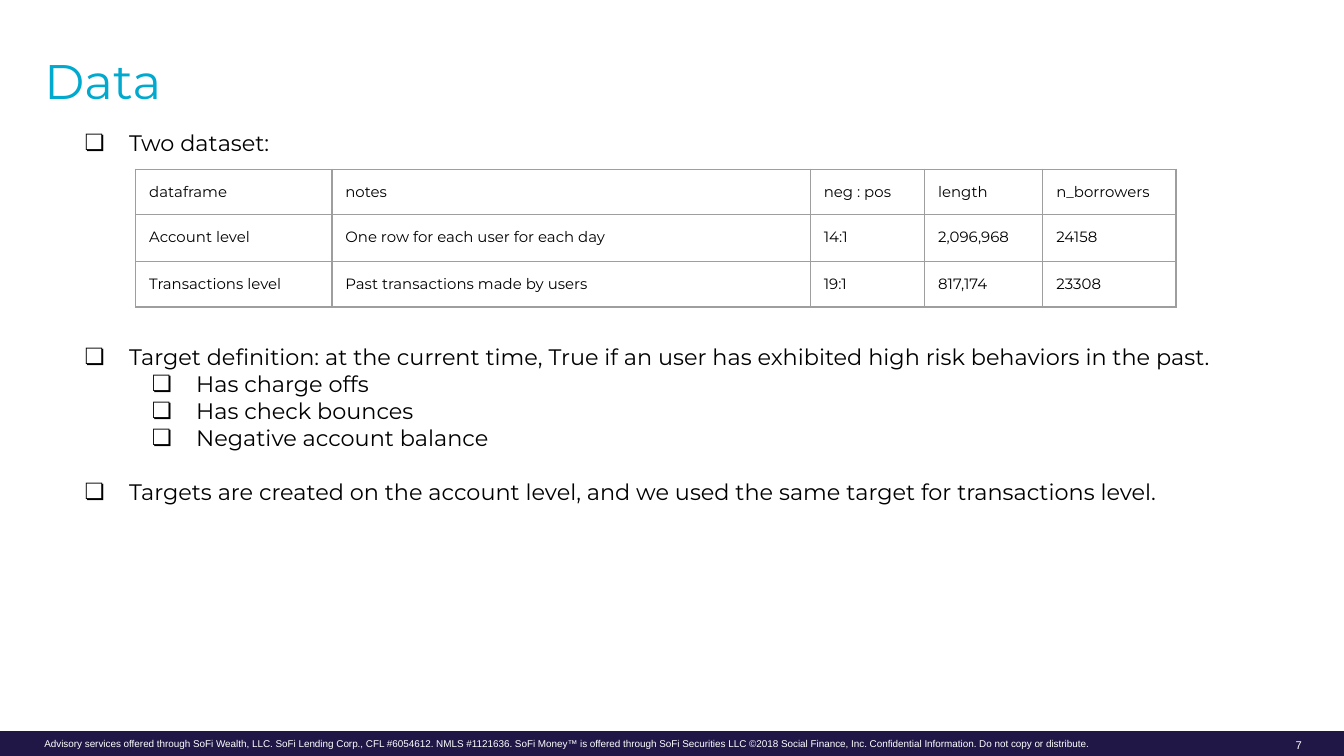
from lxml import etree
from pptx import Presentation
from pptx.dml.color import RGBColor
from pptx.enum.shapes import MSO_SHAPE
from pptx.enum.text import MSO_ANCHOR, MSO_AUTO_SIZE, PP_ALIGN
from pptx.oxml.ns import qn
from pptx.util import Inches, Pt

RECTANGLE = MSO_SHAPE.RECTANGLE
BOTTOM = MSO_ANCHOR.BOTTOM
TOP = MSO_ANCHOR.TOP
NO_AUTOFIT = MSO_AUTO_SIZE.NONE
LEFT = PP_ALIGN.LEFT

BLACK = RGBColor(0x00, 0x00, 0x00)
WHITE = RGBColor(0xFF, 0xFF, 0xFF)
CYAN = RGBColor(0x00, 0xA9, 0xCE)
NAVY = RGBColor(0x20, 0x17, 0x47)
GRAY = RGBColor(0x9E, 0x9E, 0x9E)

HEADING_FONT = "Montserrat"
FOOTER_FONT = "Arial"

DISCLAIMER = (
    "Advisory services offered through SoFi Wealth, LLC. SoFi Lending Corp., "
    "CFL #6054612. NMLS #1121636. SoFi Money™ is offered through SoFi Securities LLC "
    "©2018 Social Finance, Inc. Confidential Information. Do not copy or distribute."
)
BULLETS = [
    (0, 0, "Two dataset:"),
    (0, 100.4, "Target definition: at the current time, True if an user has exhibited "
               "high risk behaviors in the past."),
    (1, 0, "Has charge offs"),
    (1, 0, "Has check bounces"),
    (1, 0, "Negative account balance"),
    (0, 14.4, "Targets are created on the account level, and we used the same target "
              "for transactions level."),
]
DATASETS = [
    ["dataframe", "notes", "neg : pos", "length", "n_borrowers"],
    ["Account level", "One row for each user for each day", "14:1", "2,096,968", "24158"],
    ["Transactions level", "Past transactions made by users", "19:1", "817,174", "23308"],
]
COLUMN_WIDTHS = [1.46, 3.56, 0.85, 0.88, 0.99]
ROW_HEIGHTS = [0.33, 0.35, 0.33]


def place(shape, left, top, width, height):
    shape.left, shape.top = Inches(left), Inches(top)
    shape.width, shape.height = Inches(width), Inches(height)


def format_frame(frame, inset, anchor):
    frame.word_wrap = True
    frame.auto_size = NO_AUTOFIT
    frame.vertical_anchor = anchor
    frame.margin_left = frame.margin_right = Inches(inset)
    frame.margin_top = frame.margin_bottom = Inches(inset)


def add_run(paragraph, text, size, font_name, color):
    run = paragraph.add_run()
    run.text = text
    run.font.size = Pt(size)
    run.font.name = font_name
    run.font.color.rgb = color


def add_bullet(paragraph, level):
    properties = paragraph._p.get_or_add_pPr()
    properties.set("marL", str(Inches(0.5 * (level + 1))))
    properties.set("indent", str(Inches(-0.33)))
    bullet_color = etree.SubElement(properties, qn("a:buClr"))
    etree.SubElement(bullet_color, qn("a:srgbClr"), val=str(BLACK))
    etree.SubElement(properties, qn("a:buFont"), typeface=HEADING_FONT)
    etree.SubElement(properties, qn("a:buChar"), char="❏")


def fill_title(title):
    place(title, 0.33, 0.34, 9.36, 0.48)
    format_frame(title.text_frame, 0, BOTTOM)
    paragraph = title.text_frame.paragraphs[0]
    paragraph.alignment = LEFT
    paragraph.line_spacing = 0.95
    add_run(paragraph, "Data", 26, HEADING_FONT, CYAN)


def fill_body(body):
    place(body, 0.36, 0.86, 9.22, 3.56)
    frame = body.text_frame
    format_frame(frame, 0.1, TOP)
    for index, (level, space, text) in enumerate(BULLETS):
        paragraph = frame.add_paragraph() if index else frame.paragraphs[0]
        paragraph.level = level
        add_bullet(paragraph, level)
        paragraph.space_before = Pt(space)
        add_run(paragraph, text, 12, HEADING_FONT, BLACK)


def add_borders(cell):
    properties = cell._tc.get_or_add_tcPr()
    for side in ("lnL", "lnR", "lnT", "lnB"):
        line = etree.SubElement(properties, qn(f"a:{side}"), w=str(Pt(0.75)))
        fill = etree.SubElement(line, qn("a:solidFill"))
        etree.SubElement(fill, qn("a:srgbClr"), val=str(GRAY))


def format_cell(cell, text):
    cell.margin_left = cell.margin_right = Inches(0.1)
    cell.margin_top = cell.margin_bottom = Inches(0.1)
    add_borders(cell)
    cell.fill.background()
    add_run(cell.text_frame.paragraphs[0], text, 8, HEADING_FONT, BLACK)


def add_dataset_table(slide):
    table = slide.shapes.add_table(
        len(DATASETS), len(COLUMN_WIDTHS), Inches(1.01), Inches(1.26),
        Inches(sum(COLUMN_WIDTHS)), Inches(sum(ROW_HEIGHTS))).table
    table.first_row = False
    table.horz_banding = False
    for column, width in zip(table.columns, COLUMN_WIDTHS):
        column.width = Inches(width)
    for row, height, texts in zip(table.rows, ROW_HEIGHTS, DATASETS):
        row.height = Inches(height)
        for cell, text in zip(row.cells, texts):
            format_cell(cell, text)


def add_footer_text(slide, text, size, left, top, width, height, spacing):
    box = slide.shapes.add_textbox(
        Inches(left), Inches(top), Inches(width), Inches(height))
    format_frame(box.text_frame, 0, BOTTOM)
    paragraph = box.text_frame.paragraphs[0]
    paragraph.line_spacing = spacing
    add_run(paragraph, text, size, FOOTER_FONT, WHITE)


def add_footer(slide):
    bar = slide.shapes.add_shape(
        RECTANGLE, Inches(0), Inches(5.44), Inches(10), Inches(0.19))
    bar.shadow.inherit = False
    bar.fill.solid()
    bar.fill.fore_color.rgb = NAVY
    bar.line.fill.background()
    add_footer_text(slide, DISCLAIMER, 5.3, 0.33, 5, 8.81, 0.58, 0.9)
    add_footer_text(slide, "7", 6, 9.64, 5.49, 0.1, 0.1, 1.0)


def main():
    presentation = Presentation()
    presentation.slide_width = Inches(10)
    presentation.slide_height = presentation.slide_width * 9 // 16
    slide = presentation.slides.add_slide(presentation.slide_layouts[1])
    add_footer(slide)
    fill_title(slide.shapes.title)
    fill_body(slide.placeholders[1])
    add_dataset_table(slide)
    presentation.save("out.pptx")


if __name__ == "__main__":
    main()
